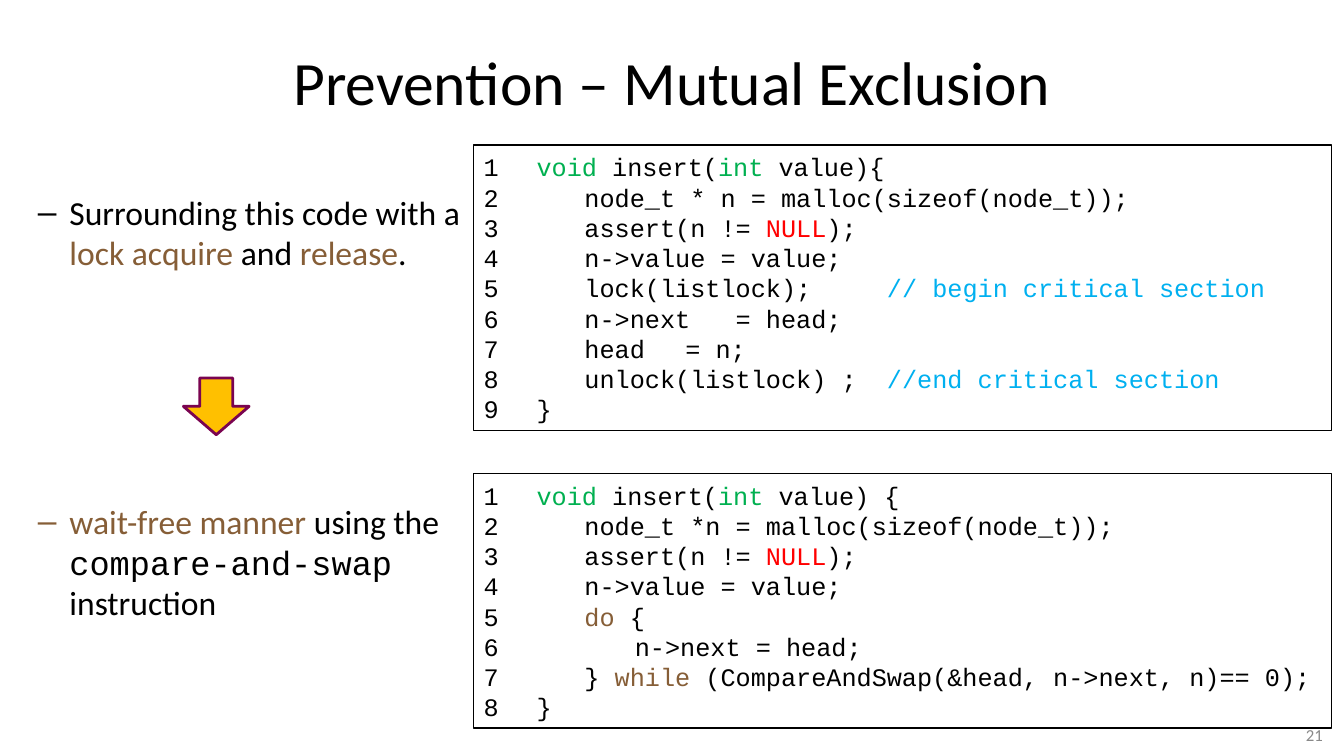
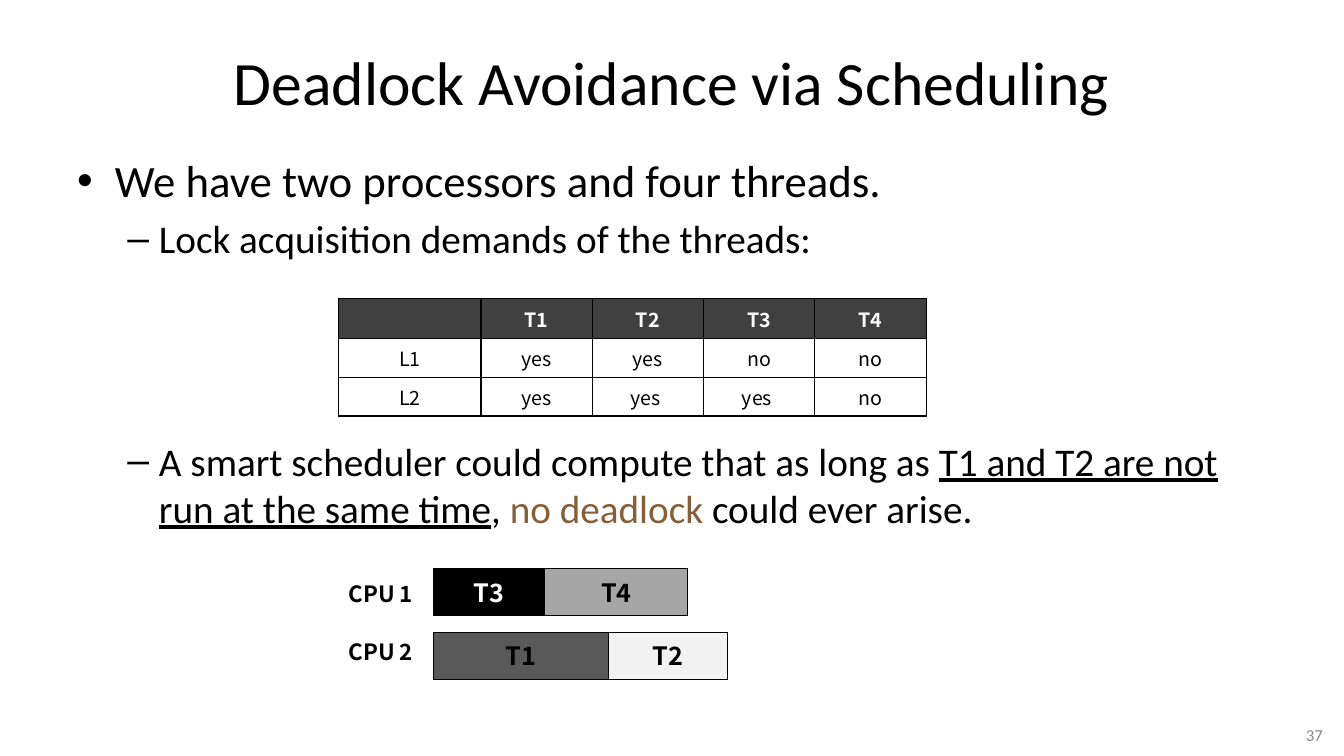
from lxml.etree import SubElement
from pptx import Presentation
from pptx.dml.color import RGBColor
from pptx.enum.shapes import MSO_SHAPE
from pptx.enum.text import MSO_ANCHOR, PP_ALIGN
from pptx.oxml.ns import qn
from pptx.util import Pt

BLACK = RGBColor(0x00, 0x00, 0x00)
WHITE = RGBColor(0xFF, 0xFF, 0xFF)
BROWN = RGBColor(0x86, 0x5E, 0x37)
GREEN = RGBColor(0x00, 0xB0, 0x50)
RED = RGBColor(0xFF, 0x00, 0x00)
BLUE = RGBColor(0x00, 0xB0, 0xF0)
AMBER = RGBColor(0xFF, 0xC0, 0x00)
PURPLE = RGBColor(0x7A, 0x04, 0x50)
NUMBER_GRAY = RGBColor(0x89, 0x89, 0x89)
HEADER_GRAY = RGBColor(0x40, 0x40, 0x40)
DARK_GRAY = RGBColor(0x59, 0x59, 0x59)
MID_GRAY = RGBColor(0xA6, 0xA6, 0xA6)
LIGHT_GRAY = RGBColor(0xF2, 0xF2, 0xF2)
BODY_FONT, CODE_FONT, DIAGRAM_FONT = "Calibri", "Courier New", "Noto Sans CJK KR"

TYPE = {"color": GREEN}
CONSTANT = {"color": RED}
COMMENT = {"color": BLUE}
ACCENT = {"color": BROWN}
UNDERLINED = {"underline": True}

LOCK_NOTE = ["Surrounding this code with a ", ("lock acquire ", ACCENT), "and ",
             ("release", ACCENT), "."]
SWAP_NOTE = [("wait-free manner ", ACCENT), "using the ",
             ("compare-and-swap", {"font": CODE_FONT}), " instruction"]
NOTES = [(LOCK_NOTE, 137), (SWAP_NOTE, 358)]

ASSERT_LINE = [" \tassert(n != ", ("NULL", CONSTANT), ");"]
LOCK_CODE = [
    [" ", ("void", TYPE), " insert(", ("int", TYPE), " value){"],
    [" \tnode_t * n = malloc(sizeof(node_t));"],
    ASSERT_LINE,
    [" \tn->value = value;"],
    [" \tlock(listlock);     ", ("// begin critical section", COMMENT)],
    [" \tn->next\t= head;"],
    [" \thead \t= n;"],
    [" \tunlock(listlock) ;  ", ("//end critical section", COMMENT)],
    [" }"],
]
SWAP_CODE = [
    [" ", ("void", TYPE), " insert(", ("int", TYPE), " value) {"],
    [" \tnode_t *n = malloc(sizeof(node_t));"],
    ASSERT_LINE,
    [" \tn->value = value;"],
    [" \t", ("do", ACCENT), " {"],
    [" \t\tn->next = head;"],
    [" \t}", (" while ", ACCENT), "(CompareAndSwap(&head, n->next, n)== 0);"],
    [" }"],
]
CODE_BOXES = [(LOCK_CODE, 103.7, 203.8), (SWAP_CODE, 338.4, 181.6)]

THREADS_TEXT = ["We have two processors and four threads."]
DEMANDS_TEXT = ["Lock acquisition demands of the threads:"]
SCHEDULER_TEXT = ["A smart scheduler could compute that as long as ",
                  ("T1 and T2 are not run at the same time", UNDERLINED), ", ",
                  ("no deadlock ", ACCENT), "could ever arise."]
DEMANDS = [
    ["", "T1", "T2", "T3", "T4"],
    ["L1", "yes", "yes", "no", "no"],
    ["L2", "yes", "yes ", "yes ", "no"],
]
COLUMN_WIDTHS = [101.7] + [79.5] * 4
ROW_HEIGHT = 27.6
SCHEDULE = [
    ("CPU 1", 411, 406, [("T3", 79.6, BLACK, WHITE), ("T4", 102.2, MID_GRAY, BLACK)]),
    ("CPU 2", 452.2, 451.5, [("T1", 125, DARK_GRAY, BLACK), ("T2", 85, LIGHT_GRAY, BLACK)]),
]


def add_marker(paragraph, marker, margin, indent):
    properties = paragraph._p.get_or_add_pPr()
    properties.set("marL", str(Pt(margin)))
    properties.set("indent", str(-Pt(indent)))
    if marker == "number":
        SubElement(properties, qn("a:buAutoNum"), type="arabicPlain")
    else:
        SubElement(properties, qn("a:buFont"), typeface="Arial")
        SubElement(properties, qn("a:buChar"), char=marker)


def write(paragraph, runs, size=18, font=BODY_FONT, color=BLACK, bold=False,
          align=PP_ALIGN.LEFT, marker=None, margin=0, indent=0, before=0, spacing=None):
    if marker:
        add_marker(paragraph, marker, margin, indent)
    paragraph.alignment = align
    paragraph.space_before = Pt(before)
    if spacing:
        paragraph.line_spacing = Pt(spacing)
    for part in runs:
        text, style = (part, {}) if isinstance(part, str) else part
        run = paragraph.add_run()
        run.text = text
        run.font.size = Pt(size)
        run.font.name = style.get("font", font)
        run.font.bold = bold
        run.font.underline = style.get("underline", False)
        run.font.color.rgb = style.get("color", color)


def add_text(slide, left, top, width, height, runs, anchor=MSO_ANCHOR.TOP,
             wrap=True, inset=3.6, **style):
    frame = slide.shapes.add_textbox(Pt(left), Pt(top), Pt(width), Pt(height)).text_frame
    frame.word_wrap = wrap
    frame.vertical_anchor = anchor
    frame.margin_top = frame.margin_bottom = Pt(inset)
    write(frame.paragraphs[0], runs, **style)
    return frame


def add_box(slide, left, top, width, height, fill, line=BLACK, weight=1,
            preset=MSO_SHAPE.RECTANGLE):
    shape = slide.shapes.add_shape(preset, Pt(left), Pt(top), Pt(width), Pt(height))
    shape.shadow.inherit = False
    shape.fill.solid()
    shape.fill.fore_color.rgb = fill
    shape.line.color.rgb = line
    shape.line.width = Pt(weight)
    shape.text_frame.vertical_anchor = MSO_ANCHOR.MIDDLE
    return shape


def start_slide(presentation, title, number):
    slide = presentation.slides.add_slide(presentation.slide_layouts[6])
    add_text(slide, 48, 21.6, 864, 72.7, [title], anchor=MSO_ANCHOR.MIDDLE,
             size=44, align=PP_ALIGN.CENTER)
    add_text(slide, 849, 514, 103, 21, [number], anchor=MSO_ANCHOR.MIDDLE,
             size=12, color=NUMBER_GRAY, align=PP_ALIGN.RIGHT)
    return slide


def add_code(slide, lines, top, height):
    frame = add_box(slide, 338.4, top, 612.7, height, WHITE).text_frame
    frame.word_wrap = True
    for index, line in enumerate(lines):
        paragraph = frame.add_paragraph() if index else frame.paragraphs[0]
        write(paragraph, line, font=CODE_FONT, marker="number", margin=27, indent=27,
              spacing=21.6)


def add_cell_borders(cell):
    properties = cell._tc.get_or_add_tcPr()
    for side in ("lnL", "lnR", "lnT", "lnB"):
        border = SubElement(properties, qn(f"a:{side}"), w=str(Pt(1)))
        fill = SubElement(border, qn("a:solidFill"))
        SubElement(fill, qn("a:srgbClr"), val=str(BLACK))


def add_demands_table(slide):
    table = slide.shapes.add_table(
        len(DEMANDS), len(COLUMN_WIDTHS), Pt(241.9), Pt(213.1),
        Pt(sum(COLUMN_WIDTHS)), Pt(ROW_HEIGHT * len(DEMANDS))).table
    for column, width in zip(table.columns, COLUMN_WIDTHS):
        column.width = Pt(width)
    for row_index, values in enumerate(DEMANDS):
        table.rows[row_index].height = Pt(ROW_HEIGHT)
        header = row_index == 0
        for column_index, value in enumerate(values):
            cell = table.cell(row_index, column_index)
            add_cell_borders(cell)
            cell.fill.solid()
            cell.fill.fore_color.rgb = HEADER_GRAY if header else WHITE
            cell.vertical_anchor = MSO_ANCHOR.MIDDLE
            write(cell.text_frame.paragraphs[0], [value], size=14, font=DIAGRAM_FONT,
                  color=WHITE if header else BLACK, bold=header, align=PP_ALIGN.CENTER)


def add_schedule(slide):
    for label, label_top, bar_top, bars in SCHEDULE:
        add_text(slide, 241.9, label_top, 62, 26.6, [label], wrap=False,
                 size=16, font=DIAGRAM_FONT, bold=True)
        left = 309.6
        for name, width, fill, color in bars:
            bar = add_box(slide, left, bar_top, width, 34, fill, weight=0.75)
            write(bar.text_frame.paragraphs[0], [name], font=DIAGRAM_FONT, color=color,
                  bold=True, align=PP_ALIGN.CENTER)
            left += width


def build_exclusion_slide(presentation):
    slide = start_slide(presentation, "Prevention – Mutual Exclusion", "21")
    for note, top in NOTES:
        add_text(slide, 20, top, 316, 90, note, inset=0, size=24,
                 marker="–", margin=22.5, indent=22.5)
    for lines, top, height in CODE_BOXES:
        add_code(slide, lines, top, height)
    add_box(slide, 131, 270, 47, 40.5, AMBER, line=PURPLE, weight=2,
            preset=MSO_SHAPE.DOWN_ARROW)


def build_scheduling_slide(presentation):
    slide = start_slide(presentation, "Deadlock Avoidance via Scheduling", "37")
    second_level = {"size": 28, "marker": "–", "margin": 58.5, "indent": 22.5}
    frame = add_text(slide, 48, 105.8, 864, 90, THREADS_TEXT, size=32,
                     marker="•", margin=27, indent=27)
    write(frame.add_paragraph(), DEMANDS_TEXT, before=5.6, **second_level)
    add_text(slide, 48, 312, 864, 70, SCHEDULER_TEXT, inset=0, **second_level)
    add_demands_table(slide)
    add_schedule(slide)


def main():
    """Build the two slides on preventing and avoiding deadlock."""
    presentation = Presentation()
    presentation.slide_width = Pt(960)
    presentation.slide_height = Pt(540)
    build_exclusion_slide(presentation)
    build_scheduling_slide(presentation)
    presentation.save("out.pptx")


if __name__ == "__main__":
    main()
